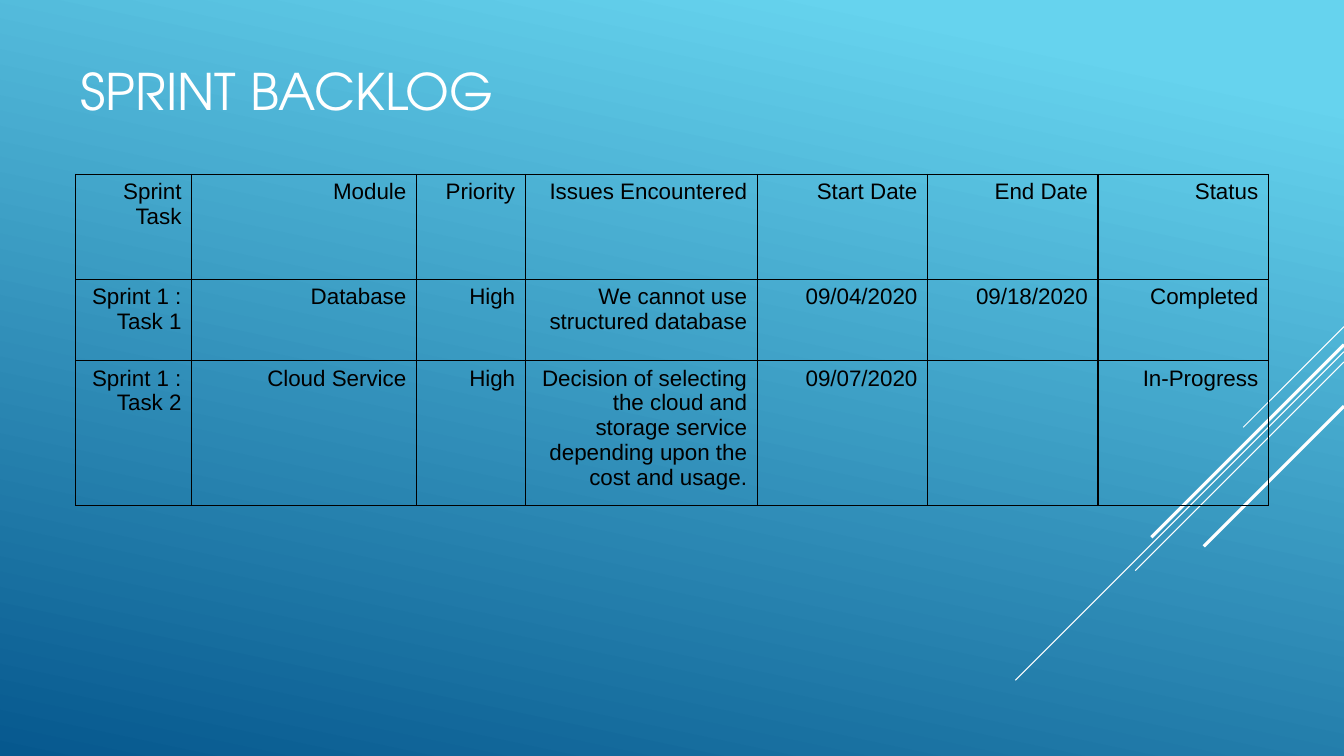
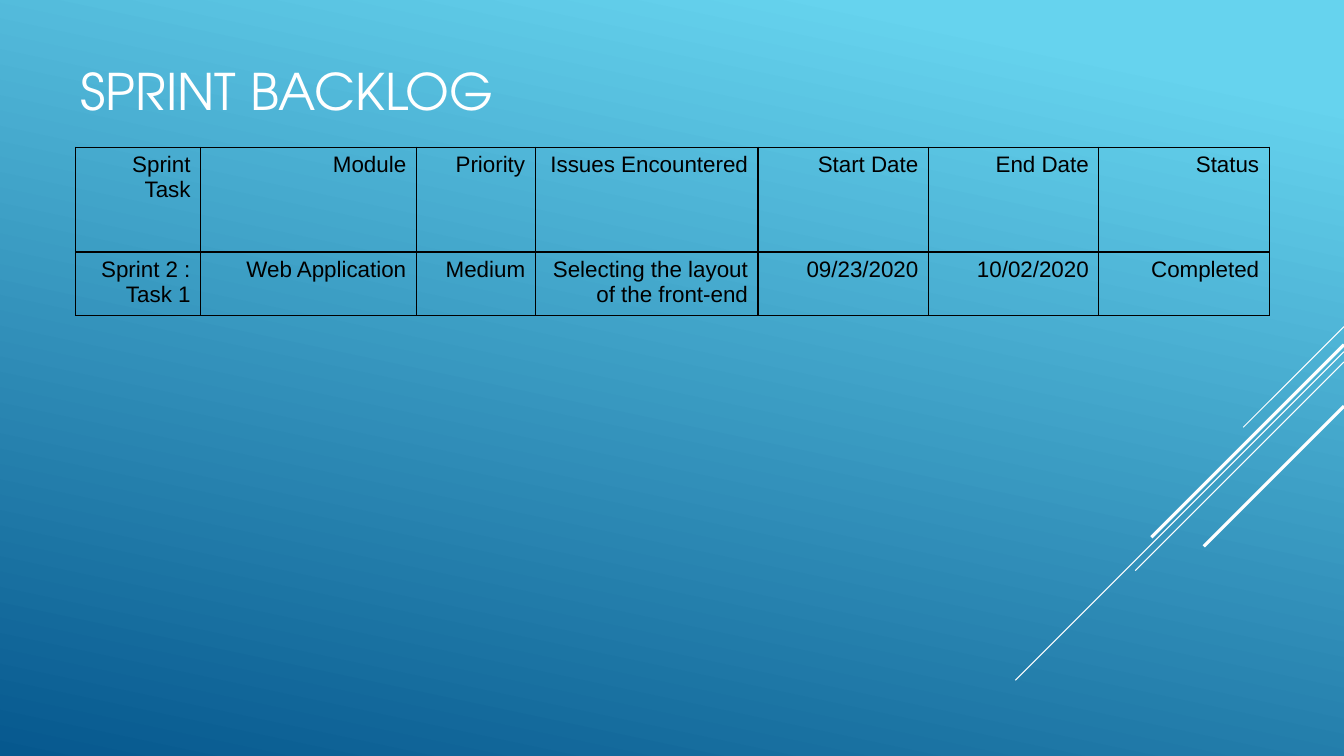
from copy import deepcopy
from dataclasses import dataclass

from lxml.etree import SubElement
from pptx import Presentation
from pptx.dml.color import RGBColor
from pptx.enum.shapes import MSO_CONNECTOR
from pptx.enum.text import MSO_ANCHOR as Anchor, PP_ALIGN as Align
from pptx.oxml import parse_xml
from pptx.oxml.ns import nsdecls, qn
from pptx.util import Inches, Pt

SLIDE_WIDTH, SLIDE_HEIGHT = Inches(13.33), Inches(7.5)


@dataclass(frozen=True)
class Theme:
    sky: str = "66D3EE"
    deep: str = "06588E"
    light: str = "FFFFFF"
    ink: str = "000000"
    title_font: str = "TeX Gyre Adventor"
    body_font: str = "Arial"
    title_size: float = 36
    body_size: float = 16
    border: float = 1
    thin: float = 0.75
    thick: float = 2.25
    gradient_angle: float = 102
    sky_end: float = 0.1


THEME = Theme()


@dataclass(frozen=True)
class Ray:
    top: float
    run: float
    weight: float


@dataclass(frozen=True)
class Backlog:
    top: float
    columns: tuple[float, ...]
    rows: tuple[float, ...]
    tasks: tuple[tuple[str, ...], ...]


MARGIN = 5.63
DATE_COLUMNS = (12.68,) * 3
HEADER_ROW = 13.87
HEADINGS = ("Sprint Task", "Module", "Priority", "Issues Encountered",
            "Start Date", "End Date", "Status")

RAYS = (
    Ray(43.2, 7.5, THEME.thin),
    Ray(46.53, 24.45, THEME.thin),
    Ray(47.87, 15.53, THEME.thin),
    Ray(45.6, 14.33, THEME.thick),
    Ray(53.73, 10.43, THEME.thick),
)

BACKLOGS = (
    Backlog(23.07, (8.63, 16.73, 8.1, 17.25, *DATE_COLUMNS), (HEADER_ROW, 10.8, 10.8), (
        ("Sprint 1 : Task 1", "Database", "High", "We cannot use structured database",
         "09/04/2020", "09/18/2020", "Completed"),
        ("Sprint 1 : Task 2", "Cloud Service", "High",
         "Decision of selecting the cloud and storage service depending upon the cost and usage.",
         "09/07/2020", "", "In-Progress"),
    )),
    Backlog(19.47, (9.3, 16.05, 8.85, 16.58, *DATE_COLUMNS), (HEADER_ROW, 8.27), (
        ("Sprint 2 : Task 1", "Web Application", "Medium",
         "Selecting the layout of the front-end", "09/23/2020", "10/02/2020", "Completed"),
    )),
)


def across(percent: float) -> int:
    return round(SLIDE_WIDTH * percent / 100)


def down(percent: float) -> int:
    return round(SLIDE_HEIGHT * percent / 100)


def write(frame, text: str, *, font: str, size: float, color: str,
          align: Align = Align.LEFT) -> None:
    frame.word_wrap = True
    paragraph = frame.paragraphs[0]
    paragraph.alignment = align
    run = paragraph.add_run()
    run.text = text
    run.font.name = font
    run.font.size = Pt(size)
    run.font.color.rgb = RGBColor.from_string(color)


def paint_background(master) -> None:
    fill = master.background.fill
    fill.gradient()
    fill.gradient_angle = 360 - THEME.gradient_angle
    for stop, color, position in zip(fill.gradient_stops, (THEME.sky, THEME.deep), (0, 1)):
        stop.color.rgb = RGBColor.from_string(color)
        stop.position = position
    stops = master.element.find(".//" + qn("p:bg")).find(".//" + qn("a:gsLst"))
    plateau = deepcopy(stops[0])
    plateau.set("pos", str(round(THEME.sky_end * 100000)))
    stops.insert(1, plateau)


def draw_ray(slide, ray: Ray) -> None:
    run, top = across(ray.run), down(ray.top)
    line = slide.shapes.add_connector(
        MSO_CONNECTOR.STRAIGHT, SLIDE_WIDTH, top, SLIDE_WIDTH - run, top + run)
    line.line.color.rgb = RGBColor.from_string(THEME.light)
    line.line.width = Pt(ray.weight)
    SubElement(line.element.spPr, qn("a:effectLst"))


def draw_title(slide, text: str) -> None:
    title = slide.shapes.add_textbox(across(MARGIN), down(6.67), across(70), down(10))
    frame = title.text_frame
    frame.vertical_anchor = Anchor.BOTTOM
    frame.margin_left = frame.margin_right = Inches(0.05)
    write(frame, text, font=THEME.title_font, size=THEME.title_size, color=THEME.light)


def outline(cell) -> None:
    properties = cell._tc.get_or_add_tcPr()
    for index, side in enumerate(("lnL", "lnR", "lnT", "lnB")):
        properties.insert(index, parse_xml(
            f'<a:{side} {nsdecls("a")} w="{Pt(THEME.border)}">'
            f'<a:solidFill><a:srgbClr val="{THEME.ink}"/></a:solidFill></a:{side}>'))


def draw_backlog(slide, backlog: Backlog) -> None:
    entries = (HEADINGS, *backlog.tasks)
    table = slide.shapes.add_table(
        len(entries), len(HEADINGS), across(MARGIN), down(backlog.top),
        across(sum(backlog.columns)), down(sum(backlog.rows))).table
    table.first_row = table.horz_banding = False
    for column, width in zip(table.columns, backlog.columns):
        column.width = across(width)
    for row, height, entry in zip(table.rows, backlog.rows, entries):
        row.height = down(height)
        for cell, text in zip(row.cells, entry):
            cell.fill.background()
            outline(cell)
            if text:
                write(cell.text_frame, text, font=THEME.body_font, size=THEME.body_size,
                      color=THEME.ink, align=Align.RIGHT)


def main() -> None:
    deck = Presentation()
    deck.slide_width, deck.slide_height = SLIDE_WIDTH, SLIDE_HEIGHT
    paint_background(deck.slide_master)
    for backlog in BACKLOGS:
        slide = deck.slides.add_slide(deck.slide_layouts[6])
        for ray in RAYS:
            draw_ray(slide, ray)
        draw_title(slide, "SPRINT BACKLOG")
        draw_backlog(slide, backlog)
    deck.save("out.pptx")


if __name__ == "__main__":
    main()
